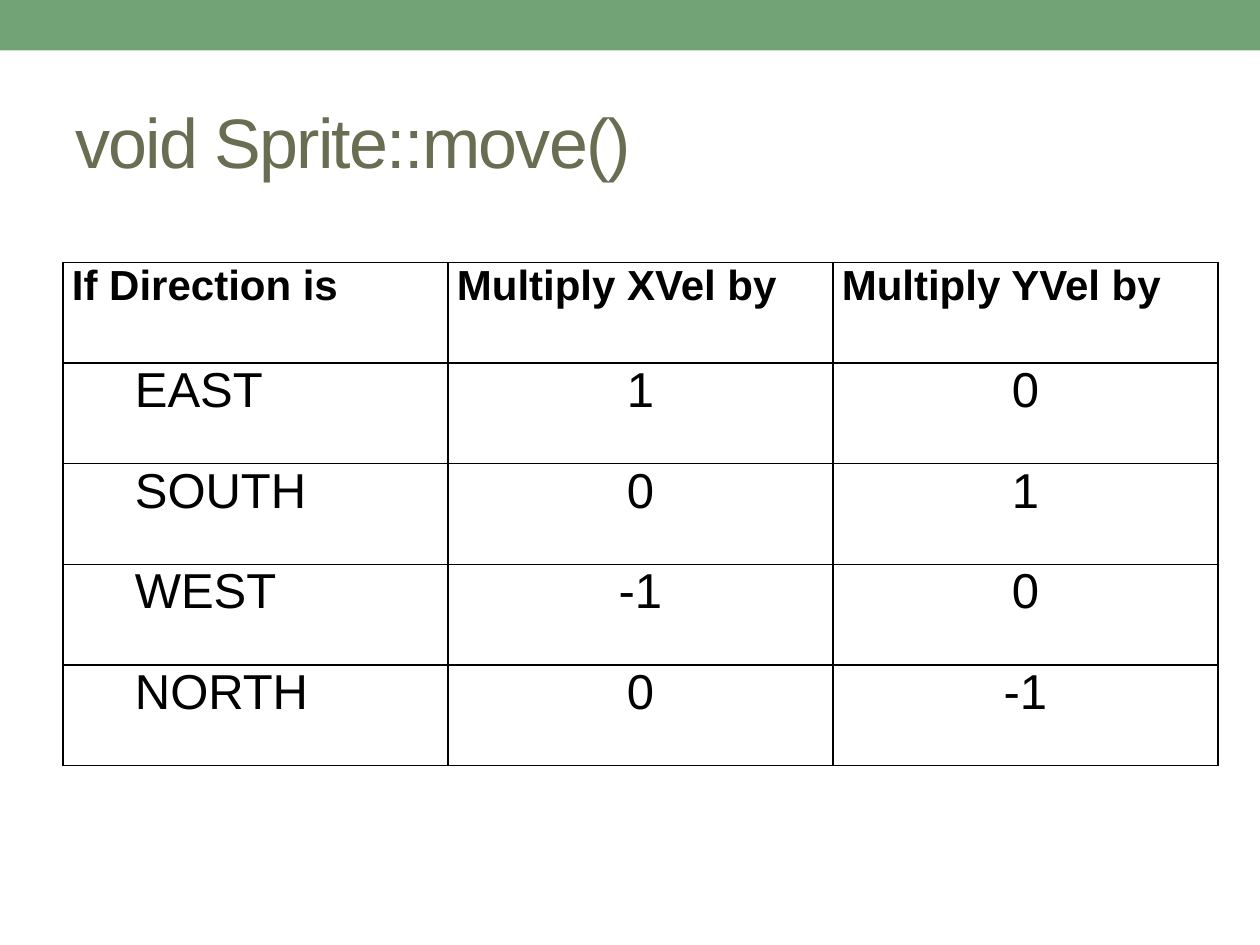
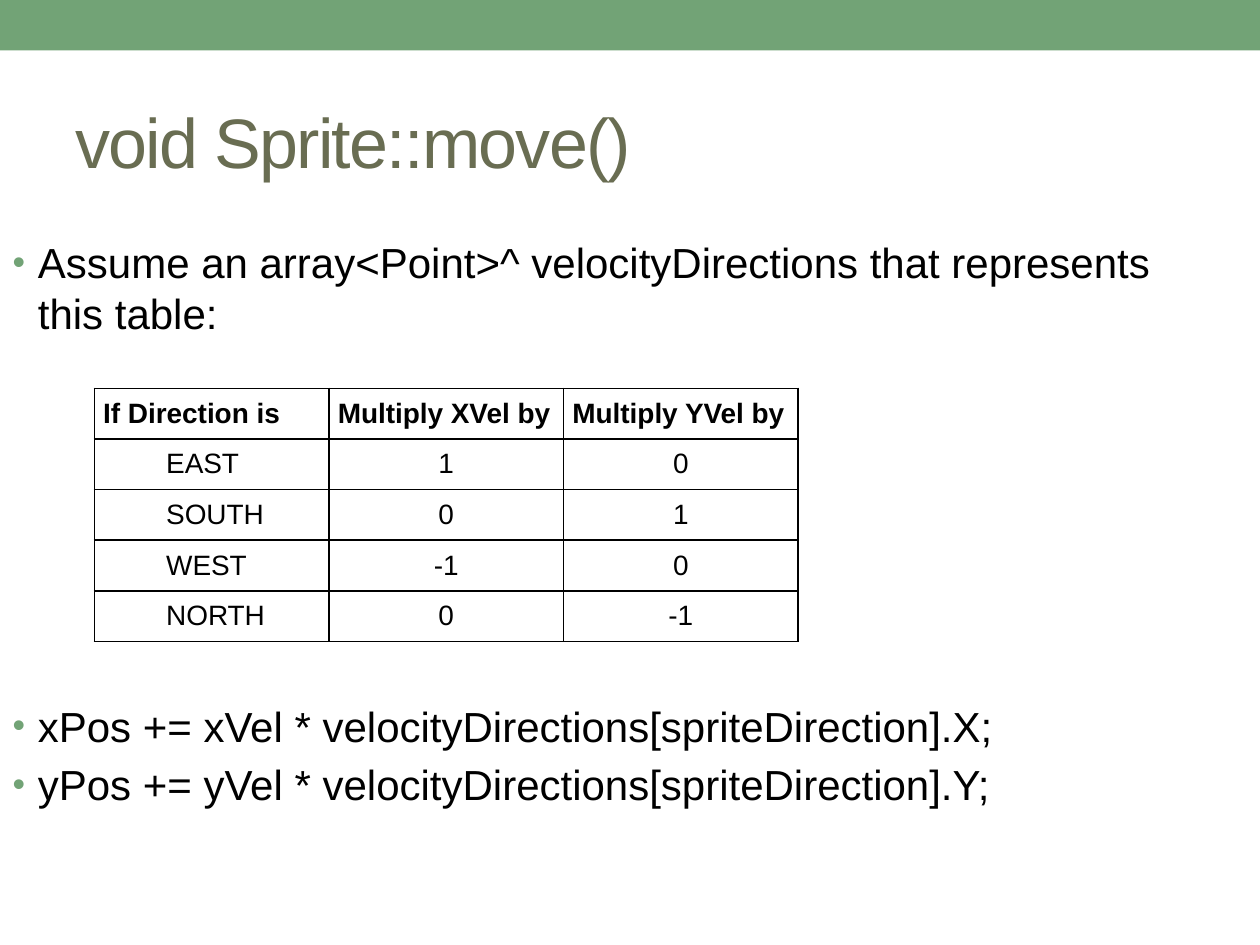
from dataclasses import dataclass

from lxml.etree import SubElement
from pptx import Presentation
from pptx.dml.color import RGBColor
from pptx.enum.shapes import MSO_SHAPE
from pptx.enum.text import MSO_ANCHOR as Anchor, MSO_AUTO_SIZE as AutoSize, PP_ALIGN as Align
from pptx.oxml import parse_xml
from pptx.oxml.ns import nsdecls, qn
from pptx.util import Cm, Pt


@dataclass(frozen=True)
class Theme:
    """Colours, font and type sizes shared by the slides."""
    green: str = "72A376"
    olive: str = "696D52"
    black: str = "000000"
    font: str = "Arial"
    title_size: int = 40
    body_size: int = 24


theme = Theme()


def write(para, text, size, color=theme.black, bold=False):
    """Add a formatted span to a paragraph and return it."""
    span = para.add_run()
    span.text = text
    values = {"name": theme.font, "size": Pt(size), "bold": bold}
    for name, value in values.items():
        setattr(span.font, name, value)
    span.font.color.rgb = RGBColor.from_string(color)
    return span


def add_directions(page, left, top, column_width, row_height, header_size, size, anchor):
    """Add the table of velocity factors by direction."""
    rows, columns = len(DIRECTIONS), len(DIRECTIONS[0])
    table = page.shapes.add_table(rows, columns, left, top,
                                  column_width * columns, row_height * rows).table
    table.first_row = table.horz_banding = False
    for column in table.columns:
        column.width = column_width
    for row in table.rows:
        row.height = row_height
    cell_format = {"margin_left": Cm(0.18), "margin_right": Cm(0.18),
                   "margin_top": 0, "margin_bottom": 0, "vertical_anchor": anchor}
    for r, texts in enumerate(DIRECTIONS):
        for c, text in enumerate(texts):
            cell = table.cell(r, c)
            for name, value in cell_format.items():
                setattr(cell, name, value)
            cell.fill.background()
            properties = cell._tc.get_or_add_tcPr()
            for i, side in enumerate(("lnL", "lnR", "lnT", "lnB")):
                properties.insert(i, parse_xml(
                    f'<a:{side} {nsdecls("a")} w="{Pt(1)}"><a:solidFill>'
                    f'<a:srgbClr val="{theme.black}"/></a:solidFill></a:{side}>'))
            para = cell.text_frame.paragraphs[0]
            para.space_after = Pt(6)
            para.alignment = Align.CENTER if r and c else Align.LEFT
            if r and not c:
                para._p.get_or_add_pPr().set("marL", str(Cm(1.27)))
            write(para, text, size if r else header_size, bold=r == 0)


DIRECTIONS = [
    ("If Direction is", "Multiply XVel by", "Multiply YVel by"),
    ("EAST", "1", "0"),
    ("SOUTH", "0", "1"),
    ("WEST", "-1", "0"),
    ("NORTH", "0", "-1"),
]

deck = Presentation()
deck.slide_width, deck.slide_height = Cm(25.4), Cm(19.05)
table_page = deck.slides.add_slide(deck.slide_layouts.get_by_name("Title Only"))
code_page = deck.slides.add_slide(deck.slide_layouts.get_by_name("Title and Content"))

# The band is drawn once and moved to the master, behind everything else
band = table_page.shapes.add_shape(MSO_SHAPE.RECTANGLE, 0, 0, deck.slide_width, Cm(1.02))
band.shadow.inherit = False
band.fill.solid()
band.fill.fore_color.rgb = RGBColor.from_string(theme.green)
band.line.fill.background()
deck.slide_master.shapes.element.insert(2, band.element)

# Titles
title_box = {"left": Cm(1.27), "top": Cm(1.47), "width": Cm(22.86), "height": Cm(2.74)}
for page in deck.slides:
    title = page.shapes.title
    for name, value in title_box.items():
        setattr(title, name, value)
    title.text_frame.vertical_anchor = Anchor.MIDDLE
    title.text_frame.auto_size = AutoSize.NONE
    para = title.text_frame.paragraphs[0]
    para.alignment = Align.LEFT
    span = write(para, "void Sprite::move()", theme.title_size, theme.olive)
    span.font._element.set("spc", "-100")

# Slide 1: large table
add_directions(table_page, Cm(1.27), Cm(5.29), Cm(7.76), Cm(2.03), 24, 28, Anchor.TOP)

# Slide 2: bullets above and below a small table
body = code_page.placeholders[1]
body_box = {"left": 0, "top": Cm(4.65), "width": Cm(24.82), "height": Cm(13.33)}
for name, value in body_box.items():
    setattr(body, name, value)
frame = body.text_frame
frame.auto_size = AutoSize.NONE
table_gap = Pt(207)
bullets = [
    ("Assume an array<Point>^ velocityDirections that represents this table:", Pt(4.8)),
    ("xPos += xVel * velocityDirections[spriteDirection].X;", table_gap),
    ("yPos += yVel * velocityDirections[spriteDirection].Y;", Pt(4.8)),
]
for i, (text, space) in enumerate(bullets):
    para = frame.add_paragraph() if i else frame.paragraphs[0]
    para.space_before = space
    properties = para._p.get_or_add_pPr()
    properties.set("marL", str(Cm(0.51)))
    properties.set("indent", str(-Cm(0.51)))
    SubElement(SubElement(properties, qn("a:buClr")), qn("a:srgbClr"), val=theme.green)
    SubElement(properties, qn("a:buSzPct"), val="85000")
    SubElement(properties, qn("a:buChar"), char="•")
    write(para, text, theme.body_size)
add_directions(code_page, Cm(1.9), Cm(7.83), Cm(4.73), Cm(1.02), 16, 16, Anchor.MIDDLE)

deck.save("out.pptx")
